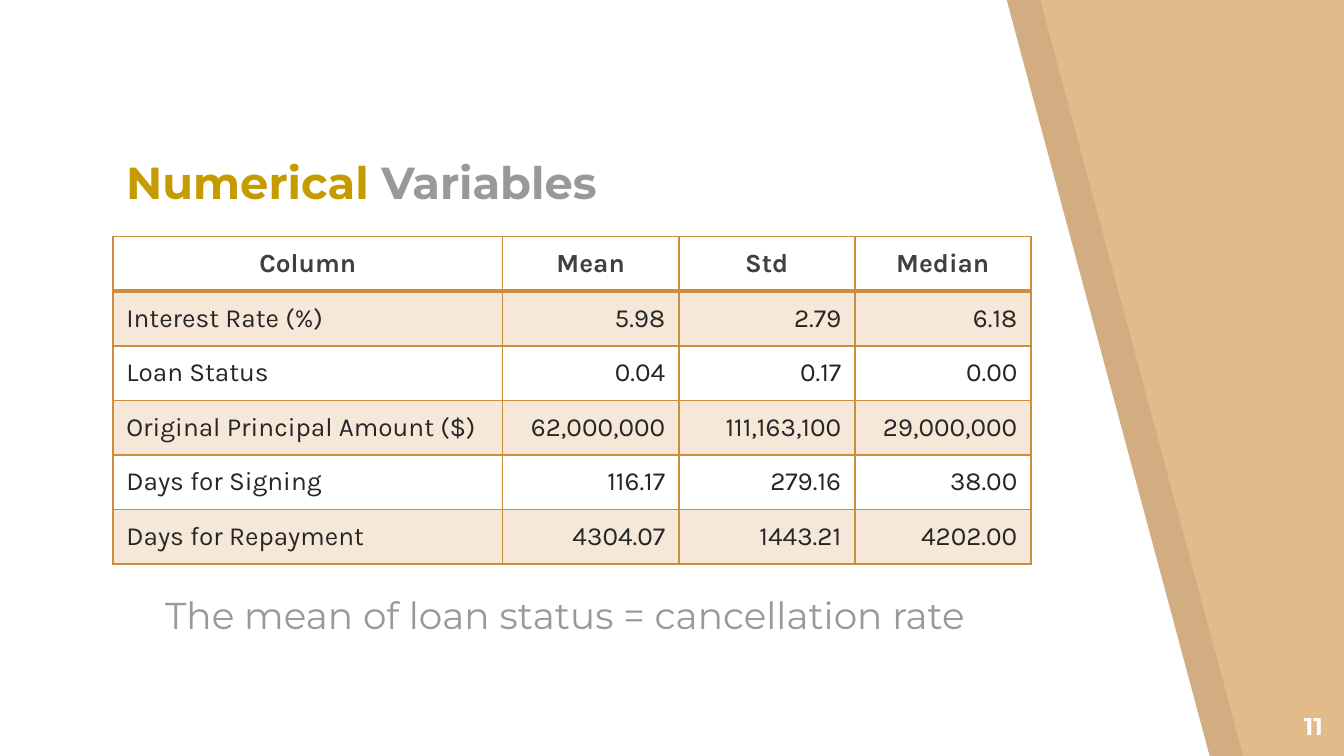
from dataclasses import dataclass
from typing import NamedTuple

import pptx
import pptx.dml.color
import pptx.enum.text
import pptx.oxml.ns
import pptx.util
from lxml import etree

Inches, Pt = pptx.util.Inches, pptx.util.Pt
RGB = pptx.dml.color.RGBColor
Align = pptx.enum.text.PP_ALIGN
Anchor = pptx.enum.text.MSO_ANCHOR
qn = pptx.oxml.ns.qn

WIDTH = 10
HEIGHT = WIDTH * 9 / 16
PANEL_TOP_WIDTH, PANEL_BASE_WIDTH = 7.49, 0.9 * WIDTH
TABLE_LEFT, TABLE_TOP, TABLE_HEIGHT = 0.84, 1.76, 2.44
COLUMN_WIDTHS = (2.9, 1.31, 1.31, 1.31)


@dataclass(frozen=True)
class Theme:
    background: str = "E2BB8B"
    shade: str = "000000"
    paper: str = "FFFFFF"
    accent: str = "CE8D3E"
    gold: str = "C59B00"
    grey: str = "999999"
    header: str = "404040"
    body: str = "262626"
    heading_font: str = "Montserrat"
    table_font: str = "Karla"
    title_size: int = 24
    caption_size: int = 20
    table_size: int = 14
    number_size: int = 13


THEME = Theme()


class Box(NamedTuple):
    left: float
    top: float
    width: float
    height: float


class Phrase(NamedTuple):
    words: str
    color: str


class Statistic(NamedTuple):
    column: str
    mean: str
    std: str
    median: str


HEADINGS = Statistic("Column", "Mean", "Std", "Median")
STATISTICS = [
    Statistic("Interest Rate (%)", "5.98", "2.79", "6.18"),
    Statistic("Loan Status", "0.04", "0.17", "0.00"),
    Statistic("Original Principal Amount ($)", "62,000,000", "111,163,100", "29,000,000"),
    Statistic("Days for Signing", "116.17", "279.16", "38.00"),
    Statistic("Days for Repayment", "4304.07", "1443.21", "4202.00"),
]


def fill_solid(fill, color: str, opacity: int = 100) -> None:
    """Fill with a colour at an opacity in percent."""
    fill.solid()
    fill.fore_color.rgb = RGB.from_string(color)
    if opacity < 100:
        color_node = fill._xPr.find(qn("a:solidFill"))[0]
        etree.SubElement(color_node, qn("a:alpha"), val=str(opacity * 1000))


def add_slanted_panel(slide, left: float, color: str, opacity: int = 100) -> None:
    builder = slide.shapes.build_freeform(Inches(left), 0, scale=1.0)
    corners = [
        (left, HEIGHT),
        (left + PANEL_BASE_WIDTH, HEIGHT),
        (left + PANEL_TOP_WIDTH, 0),
    ]
    builder.add_line_segments([(Inches(x), Inches(y)) for x, y in corners])
    panel = builder.convert_to_shape()
    panel.shadow.inherit = False
    panel.line.fill.background()
    fill_solid(panel.fill, color, opacity)


def add_text(slide, box: Box, phrases: list[Phrase], size: int, bold: bool = False,
             align=Align.LEFT, anchor=Anchor.BOTTOM) -> None:
    frame = slide.shapes.add_textbox(*map(Inches, box)).text_frame
    frame.word_wrap = True
    frame.vertical_anchor = anchor
    frame.margin_left = frame.margin_right = Inches(0.1)
    frame.margin_top = frame.margin_bottom = Inches(0.1)
    paragraph = frame.paragraphs[0]
    paragraph.alignment = align
    paragraph.font.name = THEME.heading_font
    paragraph.font.size = Pt(size)
    paragraph.font.bold = bold
    for phrase in phrases:
        run = paragraph.add_run()
        run.text = phrase.words
        run.font.color.rgb = RGB.from_string(phrase.color)


def set_borders(cell, top: int, bottom: int) -> None:
    """Rule all four sides; top and bottom weights are in points."""
    properties = cell._tc.get_or_add_tcPr()
    for side, weight in (("L", 1), ("R", 1), ("T", top), ("B", bottom)):
        line = etree.SubElement(properties, qn(f"a:ln{side}"), w=str(Pt(weight)))
        solid = etree.SubElement(line, qn("a:solidFill"))
        etree.SubElement(solid, qn("a:srgbClr"), val=THEME.accent)


def fill_cell(cell, words: str, row: int, column: int) -> None:
    is_header = row == 0
    set_borders(cell, top=2 if row == 1 else 1, bottom=2 if is_header else 1)
    if row % 2:
        fill_solid(cell.fill, THEME.accent, opacity=20)
    else:
        cell.fill.background()
    cell.vertical_anchor = Anchor.MIDDLE
    cell.text = words
    paragraph = cell.text_frame.paragraphs[0]
    if is_header:
        paragraph.alignment = Align.CENTER
    else:
        paragraph.alignment = Align.RIGHT if column else Align.LEFT
    paragraph.font.name = THEME.table_font
    paragraph.font.size = Pt(THEME.table_size)
    paragraph.font.bold = is_header
    paragraph.font.color.rgb = RGB.from_string(THEME.header if is_header else THEME.body)


def add_statistics_table(slide) -> None:
    rows = [HEADINGS, *STATISTICS]
    table = slide.shapes.add_table(
        len(rows), len(COLUMN_WIDTHS), Inches(TABLE_LEFT), Inches(TABLE_TOP),
        Inches(sum(COLUMN_WIDTHS)), Inches(TABLE_HEIGHT),
    ).table
    table.first_row = table.horz_banding = False
    for column, width in zip(table.columns, COLUMN_WIDTHS):
        column.width = Inches(width)
    for row, statistic in enumerate(rows):
        for column, words in enumerate(statistic):
            fill_cell(table.cell(row, column), words, row, column)


def main() -> None:
    deck = pptx.Presentation()
    deck.slide_width, deck.slide_height = Inches(WIDTH), Inches(HEIGHT)
    slide = deck.slides.add_slide(deck.slide_layouts[6])
    fill_solid(slide.background.fill, THEME.background)
    add_slanted_panel(slide, 0.25, THEME.shade, opacity=7)
    add_slanted_panel(slide, 0, THEME.paper)
    add_text(slide, Box(9.34, 5.19, 0.6, 0.43), [Phrase("11", THEME.paper)],
             THEME.number_size, bold=True, align=Align.RIGHT, anchor=Anchor.TOP)
    add_statistics_table(slide)
    add_text(slide, Box(TABLE_LEFT, 1.01, 6.44, 0.64),
             [Phrase("Numerical", THEME.gold), Phrase(" Variables", THEME.grey)],
             THEME.title_size, bold=True)
    add_text(slide, Box(1.13, 4.2, 6.44, 0.64),
             [Phrase("The mean of loan status = cancellation rate", THEME.grey)],
             THEME.caption_size)
    deck.save("out.pptx")


if __name__ == "__main__":
    main()
